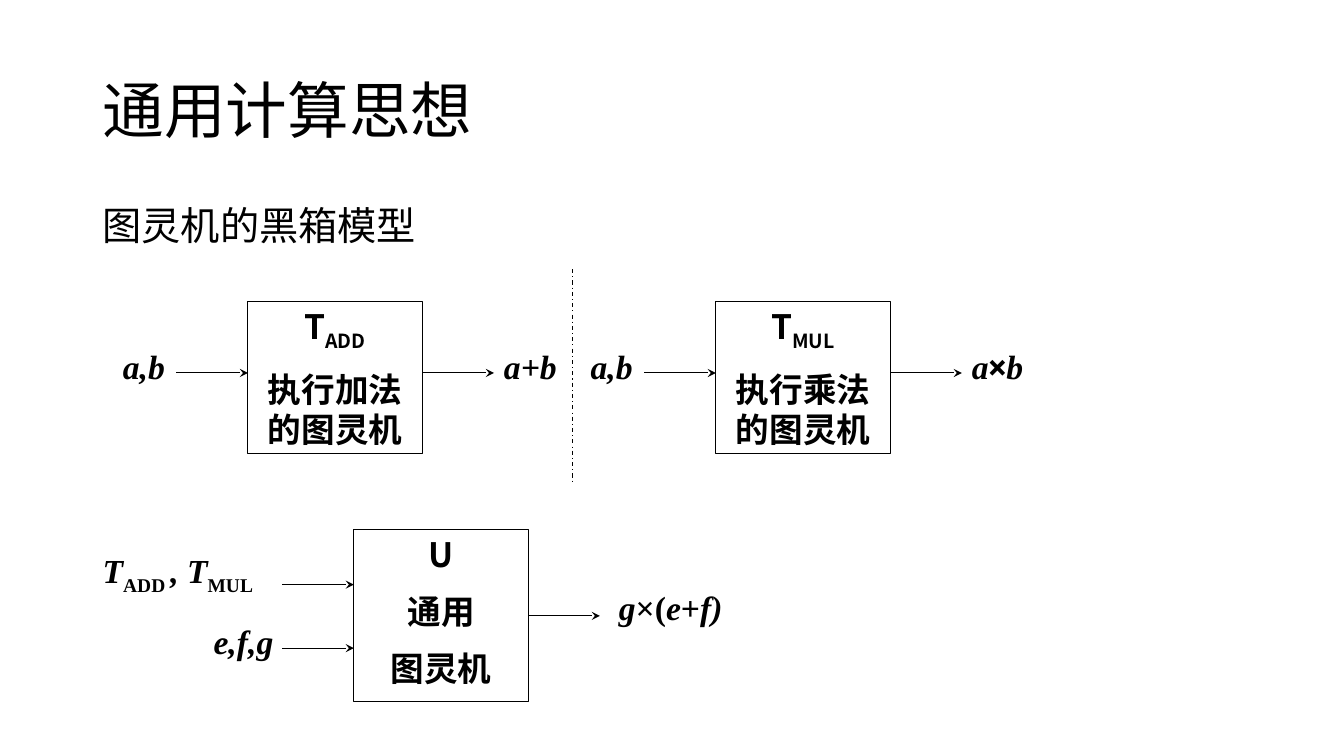
from lxml import etree
from pptx import Presentation
from pptx import util as u
from pptx.dml.color import RGBColor
from pptx.enum import dml, shapes, text
from pptx.oxml import ns

SANS, SERIF, SIGN = "Noto Sans CJK SC", "Times New Roman", "Roboto"
INK = RGBColor.from_string("000000")
BOX_W, ARROW = 1.73, 0.71
MARGIN = 0.92

deck = Presentation()
deck.slide_width, deck.slide_height = u.Inches(13.33), u.Inches(7.5)
page = deck.slides.add_slide(deck.slide_layouts[6])


def write(box, paras, size=24, font=SERIF, bold=True, gap=12, align=None, spacing=None):
    """Fill box with paragraphs of (words, marks) runs: i italic, s subscript, x sign font."""
    frame = box.text_frame
    frame.word_wrap = True
    frame.vertical_anchor = text.MSO_ANCHOR.TOP
    for index, runs in enumerate(paras):
        para = frame.add_paragraph() if index else frame.paragraphs[0]
        para.alignment, para.line_spacing = align, spacing
        para.space_before = u.Pt(gap if index else 0)
        for words, marks in runs:
            span = para.add_run()
            span.text = words
            span.font.size, span.font.bold = u.Pt(size), bold
            span.font.italic = "i" in marks
            span.font.color.rgb = INK
            span.font.name = SIGN if "x" in marks else font
            props = span._r.get_or_add_rPr()
            if font == SANS:
                etree.SubElement(props, ns.qn("a:ea")).set("typeface", SANS)
            if "s" in marks:
                props.set("baseline", "-25000")


def draw_line(x1, y1, x2, y2, arrow=True):
    line = page.shapes.add_connector(
        shapes.MSO_CONNECTOR.STRAIGHT, *map(u.Inches, (x1, y1, x2, y2)))
    line.line.color.rgb, line.line.width = INK, u.Pt(0.75)
    if arrow:
        tail = etree.SubElement(line.line._get_or_add_ln(), ns.qn("a:tailEnd"))
        tail.set("type", "stealth")
    else:
        line.line.dash_style = dml.MSO_LINE.DASH_DOT
    etree.SubElement(line._element.spPr, ns.qn("a:effectLst"))


# Headings
title = page.shapes.add_textbox(*map(u.Inches, (MARGIN, 0.4, 11.5, 1.45)))
write(title, [[("通用计算思想", "")]], 44, SANS, False, spacing=0.9)
title.text_frame.vertical_anchor = text.MSO_ANCHOR.MIDDLE
subtitle = page.shapes.add_textbox(*map(u.Inches, (MARGIN, 2, 11.5, 0.62)))
write(subtitle, [[("图灵机的黑箱模型", "")]], 28, SANS, False, spacing=0.9)

# Machines: left, top, height, heights of input arrows, height of output arrow, paragraphs
machines = [
    (2.46, 2.99, 1.51, [3.7], 3.7,
     [[("T", ""), ("ADD", "s")], [("执行加法的图灵机", "")]]),
    (7.1, 2.99, 1.51, [3.7], 3.7,
     [[("T", ""), ("MUL", "s")], [("执行乘法的图灵机", "")]]),
    (3.51, 5.25, 1.71, [5.8, 6.43], 6.11,
     [[("U", "")], [("通用", "")], [("图灵机", "")]]),
]
for left, top, height, inputs, output, paras in machines:
    machine = page.shapes.add_shape(
        shapes.MSO_SHAPE.RECTANGLE, *map(u.Inches, (left, top, BOX_W, height)))
    machine.shadow.inherit = False
    machine.fill.background()
    machine.line.color.rgb, machine.line.width = INK, u.Pt(0.75)
    write(machine, paras, font=SANS, align=text.PP_ALIGN.CENTER)
    for y in inputs:
        draw_line(left - ARROW, y, left, y)
    draw_line(left + BOX_W, output, left + BOX_W + ARROW, output)

draw_line(5.68, 2.67, 5.68, 4.8, arrow=False)

# Inputs and outputs: left, top, width, runs
labels = [
    (1.12, 3.38, 0.95, [("a,b", "i")]),
    (4.9, 3.38, 0.95, [("a+b", "i")]),
    (5.76, 3.38, 0.95, [("a,b", "i")]),
    (9.54, 3.38, 0.95, [("a", "i"), ("×", "x"), ("b", "i")]),
    (MARGIN, 5.41, 1.97, [("T", "i"), ("ADD ", "s"), (", T", "i"), ("MUL", "s")]),
    (2.02, 6.11, 0.95, [("e,f,g", "i")]),
    (6.04, 5.77, 1.65, [("g", "i"), ("×(", ""), ("e", "i"), ("+", ""), ("f)", "i")]),
]
for left, top, width, runs in labels:
    label = page.shapes.add_textbox(*map(u.Inches, (left, top, width, 0.5)))
    write(label, [runs])

deck.save("out.pptx")
